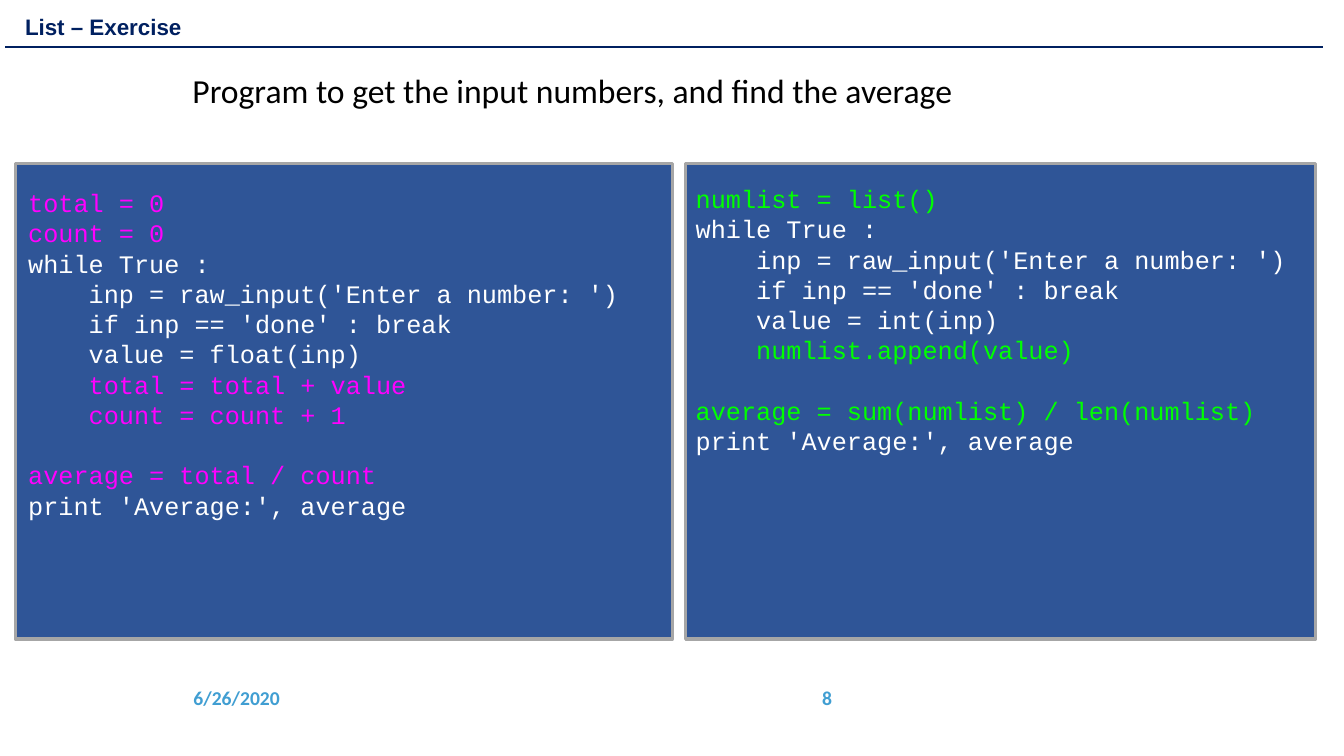
from dataclasses import dataclass

from pptx import Presentation
from pptx.dml.color import RGBColor
from pptx.enum import shapes, text
from pptx.oxml import ns
from pptx.util import Inches, Pt
from lxml import etree

TITLE = "List – Exercise"
TASK = "Program to get the input numbers, and find the average"
DATE, NUMBER = "6/26/2020", "8"

# Code lines: (indent level, text, colour name, gap above)
TOTALS_CODE = [
    (0, "total = 0", "pink", False),
    (0, "count = 0", "pink", False),
    (0, "while True :", "white", False),
    (1, "inp = raw_input('Enter a number: ')", "white", False),
    (1, "if inp == 'done' : break", "white", False),
    (1, "value = float(inp)", "white", False),
    (1, "total = total + value", "pink", False),
    (1, "count = count + 1", "pink", False),
    (0, "average = total / count", "pink", True),
    (0, "print 'Average:', average", "white", False),
]
LIST_CODE = [
    (0, "numlist = list()", "green", False),
    (0, "while True :", "white", False),
    (1, "inp = raw_input('Enter a number: ')", "white", False),
    (1, "if inp == 'done' : break", "white", False),
    (1, "value = int(inp)", "white", False),
    (1, "numlist.append(value)", "green", False),
    (0, "average = sum(numlist) / len(numlist)", "green", True),
    (0, "print 'Average:', average", "white", False),
]

# Panels: (left, width, code left, code top, code)
PANEL_TOP, PANEL_HEIGHT = 1.62, 4.72
PANELS = [
    (0.15, 6.52, 0.28, 1.86, TOTALS_CODE),
    (6.8, 6.25, 6.9, 1.82, LIST_CODE),
]
CODE_WIDTH, CODE_HEIGHT = 6.1, 3.33
CODE_INDENT = 0.6
CODE_LINE = 21.6


@dataclass(frozen=True)
class Theme:
    """Colours, fonts and type sizes."""
    white: str = "FFFFFF"
    black: str = "000000"
    navy: str = "002060"
    panel: str = "2F5597"
    border: str = "A6A6A6"
    footer: str = "409ED2"
    pink: str = "FF00FF"
    green: str = "00FF00"
    title_font: str = "Arial"
    body_font: str = "Calibri"
    code_font: str = "Courier New"
    title_size: int = 16
    task_size: int = 24
    code_size: int = 18
    footer_size: int = 14


THEME = Theme()


def add_span(para, words, font, size, colour, bold=False):
    """Add one styled run to a paragraph."""
    span = para.add_run()
    span.text = words
    span.font.name = font
    span.font.size = Pt(size)
    span.font.bold = bold
    span.font.color.rgb = RGBColor.from_string(colour)


def add_rectangle(page, place, fill, border=None):
    """Add a flat rectangle with an optional border."""
    box = page.shapes.add_shape(shapes.MSO_SHAPE.RECTANGLE, *map(Inches, place))
    box.shadow.inherit = False
    box.fill.solid()
    box.fill.fore_color.rgb = RGBColor.from_string(fill)
    if border:
        box.line.color.rgb = RGBColor.from_string(border)
        box.line.width = Pt(2.25)
    else:
        box.line.fill.background()
    return box


def add_text_box(page, place, anchor=text.MSO_ANCHOR.TOP):
    """Add a wrapping text box and return its frame."""
    frame = page.shapes.add_textbox(*map(Inches, place)).text_frame
    frame.word_wrap = True
    frame.vertical_anchor = anchor
    return frame


def add_header(page):
    """Add the title band, the rule below it and the task."""
    band = add_rectangle(page, (0.15, 0.1, 9.04, 0.35), THEME.white)
    band.text_frame.word_wrap = True
    band.text_frame.vertical_anchor = text.MSO_ANCHOR.BOTTOM
    para = band.text_frame.paragraphs[0]
    para.alignment = text.PP_ALIGN.LEFT
    para.line_spacing = 0.9
    add_span(para, TITLE, THEME.title_font, THEME.title_size, THEME.navy, True)

    ends = map(Inches, (0.05, 0.47, 13.12, 0.47))
    rule = page.shapes.add_connector(shapes.MSO_CONNECTOR.STRAIGHT, *ends)
    rule.line.color.rgb = RGBColor.from_string(THEME.navy)
    rule.line.width = Pt(1.5)
    properties = rule._element.spPr
    etree.SubElement(properties, ns.qn("a:effectLst"))

    frame = add_text_box(page, (0.99, 0.64, 11.51, 0.5))
    para = frame.paragraphs[0]
    para._p.get_or_add_pPr().set("marL", str(Inches(0.82)))
    add_span(para, TASK, THEME.body_font, THEME.task_size, THEME.black)


def add_panel(page, left, width, code_left, code_top, code):
    """Add a bordered panel with its code listing."""
    add_rectangle(page, (left, PANEL_TOP, width, PANEL_HEIGHT),
                  THEME.panel, THEME.border)
    frame = add_text_box(page, (code_left, code_top, CODE_WIDTH, CODE_HEIGHT))
    frame.margin_left = frame.margin_right = 0
    frame.margin_top = frame.margin_bottom = 0
    for index, (level, words, colour, gap) in enumerate(code):
        para = frame.add_paragraph() if index else frame.paragraphs[0]
        para._p.get_or_add_pPr().set("marL", str(Inches(CODE_INDENT * level)))
        if gap:
            para.space_before = Pt(CODE_LINE)
        add_span(para, words, THEME.code_font, THEME.code_size,
                 getattr(THEME, colour))


def add_footer(page):
    """Add the date and the page number."""
    for words, left, width, align in (
            (DATE, 1.82, 1.38, text.PP_ALIGN.LEFT),
            (NUMBER, 5.32, 3.03, text.PP_ALIGN.RIGHT)):
        frame = add_text_box(page, (left, 6.72, width, 0.4),
                             text.MSO_ANCHOR.MIDDLE)
        para = frame.paragraphs[0]
        para.alignment = align
        add_span(para, words, THEME.body_font, THEME.footer_size,
                 THEME.footer, True)


def main():
    """Build and save the deck."""
    deck = Presentation()
    deck.slide_width, deck.slide_height = Inches(13.33), Inches(7.5)
    page = deck.slides.add_slide(deck.slide_layouts[6])
    add_header(page)
    for panel in PANELS:
        add_panel(page, *panel)
    add_footer(page)
    deck.save("out.pptx")


main()
